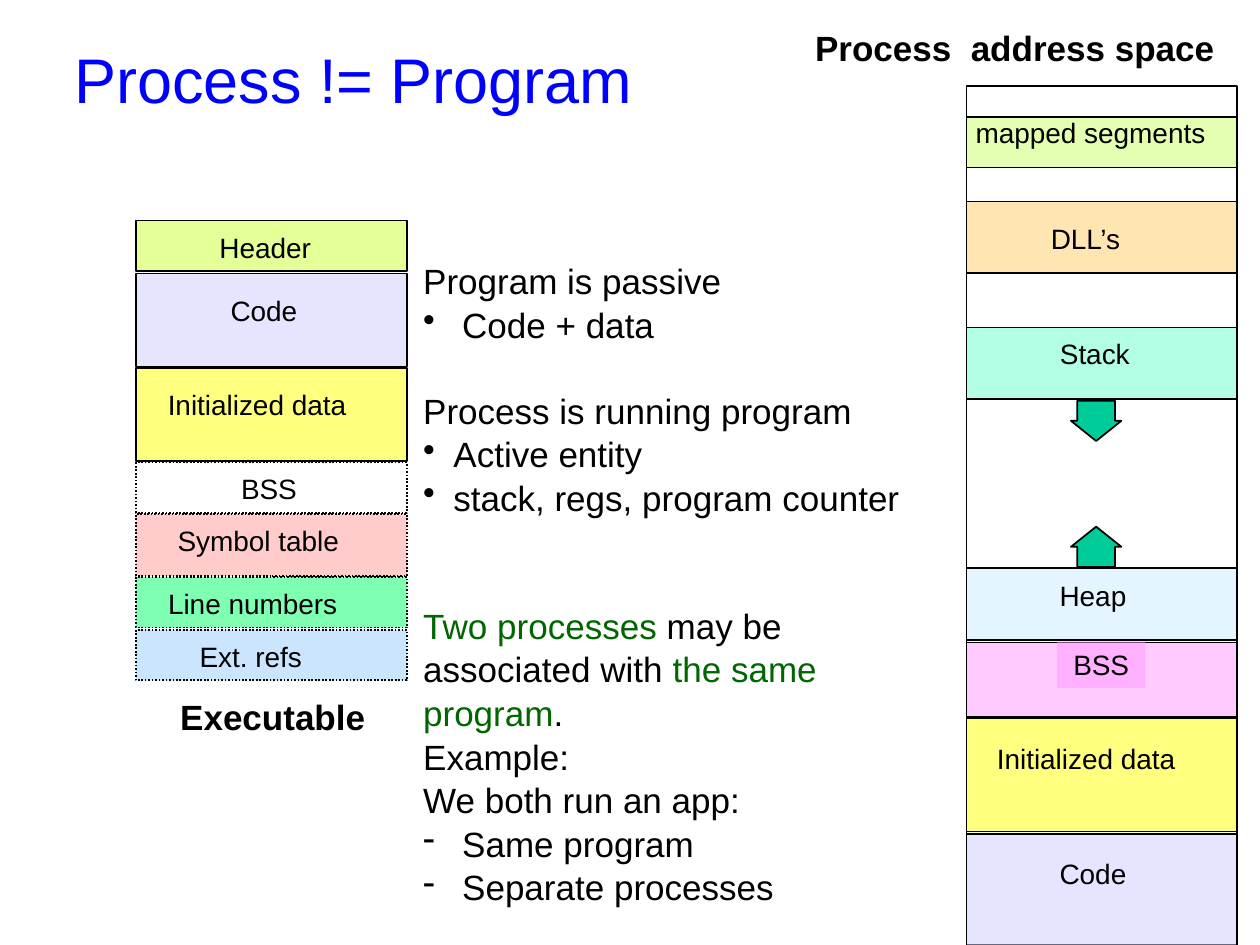
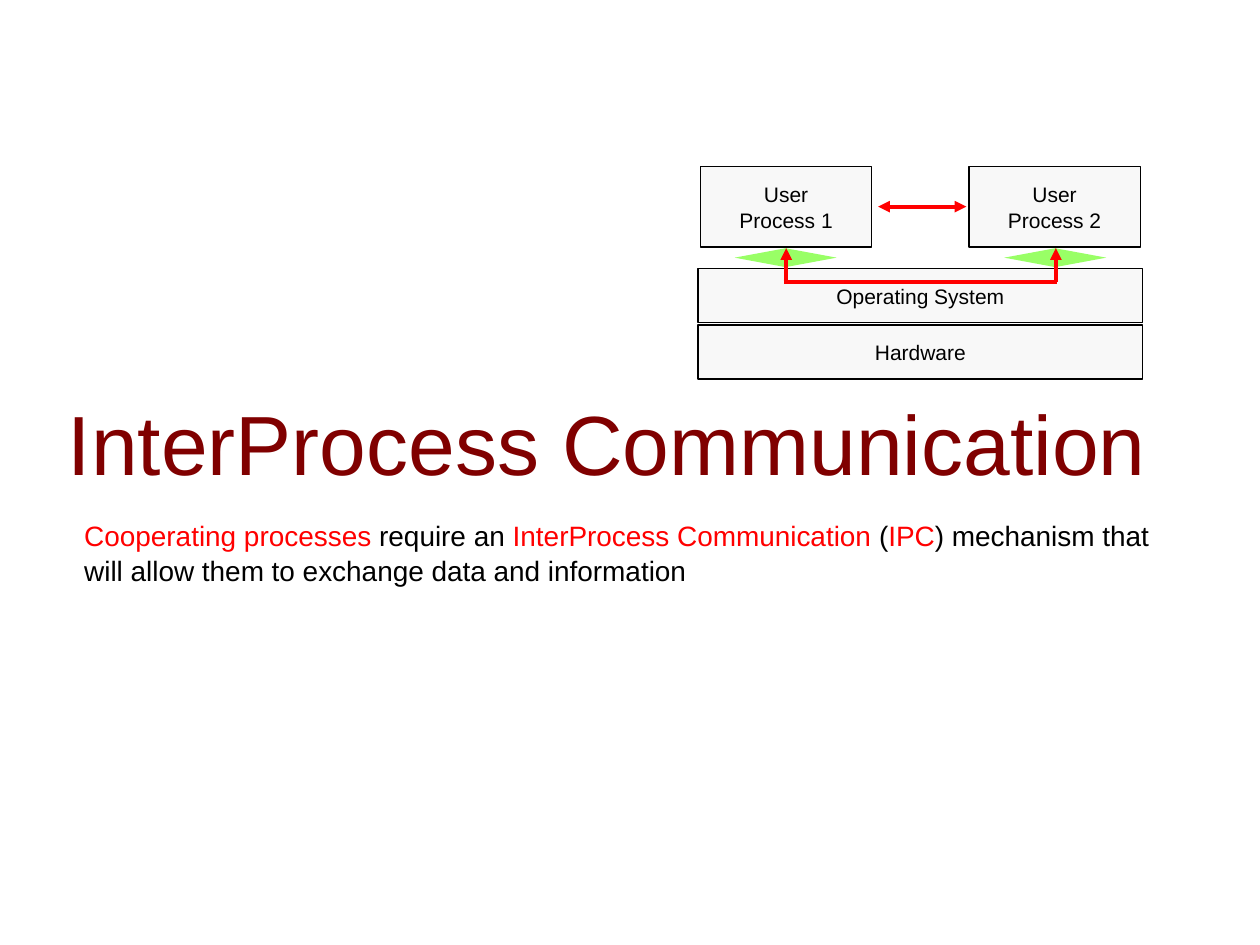
from lxml import etree
from pptx import Presentation
from pptx import util as u
from pptx.dml.color import RGBColor
from pptx.enum import dml, shapes, text
from pptx.oxml.ns import qn

FONT = "Arial"
COLORS = {
    "black": "000000", "blue": "0000FF", "maroon": "800000", "red": "FF0000",
    "dark green": "006600", "lime": "CCFF33", "lavender": "CCCCFF",
    "yellow": "FFFF00", "salmon": "FF9999", "green": "00FF66", "sky": "99CCFF",
    "pink": "FF99FF", "ice": "CCECFF", "mint": "66FFCC", "orange": "FFCC66",
    "pale lime": "CCFF66", "teal": "00CC99", "gray": "F8F8F8",
    "light green": "99FF66",
}
KIND = shapes.MSO_SHAPE
LEFT, CENTER = text.PP_ALIGN.LEFT, text.PP_ALIGN.CENTER
TOP, MIDDLE = text.MSO_ANCHOR.TOP, text.MSO_ANCHOR.MIDDLE


def add_box(s, at, fill=None, line=1, kind=KIND.RECTANGLE, clear=False, dotted=False):
    """Add a preset shape; clear makes the fill half transparent, line is in points."""
    sp = s.shapes.add_shape(kind, *map(u.Inches, at))
    sp.shadow.inherit = False
    if fill:
        sp.fill.solid()
        sp.fill.fore_color.rgb = RGBColor.from_string(COLORS[fill])
        if clear:
            color = sp.fill._xPr.find(qn("a:solidFill"))[0]
            etree.SubElement(color, qn("a:alpha"), val="50000")
    else:
        sp.fill.background()
    if line:
        sp.line.color.rgb = RGBColor.from_string(COLORS["black"])
        sp.line.width = u.Pt(line)
        if dotted:
            sp.line.dash_style = dml.MSO_LINE.ROUND_DOT
    else:
        sp.line.fill.background()
    return sp


def write(sp, paragraphs, size, color="black", align=CENTER, anchor=TOP,
          bold=False, wrap=False, spacing=1.0):
    """Fill a shape; a paragraph is a string or a list of (text, color) runs."""
    tf = sp.text_frame
    tf.word_wrap = wrap
    tf.vertical_anchor = anchor
    for i, content in enumerate(paragraphs):
        p = tf.paragraphs[0] if i == 0 else tf.add_paragraph()
        p.alignment = align
        p.line_spacing = spacing
        p.font.name, p.font.size, p.font.bold = FONT, u.Pt(size), bold
        runs = [(content, color)] if isinstance(content, str) else content
        for words, run_color in runs:
            r = p.add_run()
            r.text = words
            r.font.color.rgb = RGBColor.from_string(COLORS[run_color])
    return tf


prs = Presentation()
prs.slide_width, prs.slide_height = u.Inches(10), u.Inches(7.5)
blank = prs.slide_layouts[6]
slides = []
titles = [
    ("Process != Program", (0.49, 0, 7.83, 1.25), 36, "blue"),
    ("InterProcess Communication", (0.44, 2.95, 9.29, 1.12), 48, "maroon"),
]
for title, at, size, color in titles:
    s = prs.slides.add_slide(blank)
    sp = s.shapes.add_textbox(*map(u.Inches, at))
    write(sp, [title], size, color, LEFT, MIDDLE, wrap=True)
    slides.append(s)

# Slide 1: executable file beside the process address space
s = slides[0]
EXECUTABLE_X, PROCESS_X, COLUMN_W, LABEL_H = 1.08, 7.67, 2.15, 0.37

add_box(s, (PROCESS_X, 0.68, COLUMN_W, 6.82))

# label, column, top, height, fill, dotted, label left, label top, label width
segments = [
    ("Header", EXECUTABLE_X, 1.75, 0.4, "lime", False, 1.64, 1.78, 0.93),
    ("Code", EXECUTABLE_X, 2.17, 0.74, "lavender", False, 1.73, 2.28, 0.73),
    ("Initialized data", EXECUTABLE_X, 2.92, 0.74, "yellow", False, 1.23, 3.03, 1.62),
    ("BSS", EXECUTABLE_X, 3.67, 0.4, None, True, 1.81, 3.69, 0.65),
    ("Symbol table", EXECUTABLE_X, 4.08, 0.49, "salmon", True, 1.31, 4.11, 1.48),
    ("Line numbers", EXECUTABLE_X, 4.58, 0.4, "green", True, 1.23, 4.61, 1.55),
    ("Ext. refs", EXECUTABLE_X, 5, 0.4, "sky", True, 1.48, 5.03, 1.02),
    ("Code", PROCESS_X, 6.62, 0.89, "lavender", False, 8.31, 6.75, 0.73),
    ("Initialized data", PROCESS_X, 5.7, 0.9, "yellow", False, 7.81, 5.84, 1.62),
    ("BSS", PROCESS_X, 5.1, 0.59, "pink", False, 8.39, 5.09, 0.7),
    ("Heap", PROCESS_X, 4.51, 0.57, "ice", False, 8.31, 4.54, 0.73),
    ("Stack", PROCESS_X, 2.6, 0.57, "mint", False, 8.31, 2.62, 0.76),
    ("DLL’s", PROCESS_X, 1.6, 0.57, "orange", False, 8.23, 1.71, 0.77),
    ("mapped segments", PROCESS_X, 0.93, 0.4, "pale lime", False, 7.64, 0.87, 2.03),
]
for label, x, top, height, fill, dotted, label_x, label_y, label_w in segments:
    add_box(s, (x, top, COLUMN_W, height), fill, clear=True, dotted=dotted)
    label_at = (label_x, label_y, label_w, LABEL_H)
    if fill == "pink":
        sp = add_box(s, label_at, fill, line=None, clear=True)
    else:
        sp = s.shapes.add_textbox(*map(u.Inches, label_at))
    write(sp, [label], 16)

for kind, top in [(KIND.UP_ARROW, 4.18), (KIND.DOWN_ARROW, 3.18)]:
    sp = add_box(s, (8.5, top, 0.4, 0.32), "teal", kind=kind)
    sp.adjustments[0], sp.adjustments[1] = 0.75, 0.5

captions = [
    ("Executable", (1.33, 5.47, 1.67, 0.44), CENTER),
    ("Process  address space", (6.37, 0.16, 3.49, 0.44), LEFT),
]
for caption, at, align in captions:
    sp = s.shapes.add_textbox(*map(u.Inches, at))
    write(sp, [caption], 20, align=align, bold=True, wrap=align == LEFT)

# content, bullet, indent in inches, space before in points
notes = [
    ("Program is passive", None, 0, 0),
    ("Code + data", "•", 0.31, 0),
    ("Process is running program", None, 0, 24),
    ("Active entity", "•", 0.24, 0),
    ("stack, regs, program counter", "•", 0.24, 0),
    ([("Two processes", "dark green"), (" may be", "black")], None, 0, 48),
    ([("associated with ", "black"), ("the same program", "dark green"),
      (".", "black")], None, 0, 0),
    ("Example:", None, 0, 0),
    ("We both run an app:", None, 0, 0),
    ("Same program", "-", 0.31, 0),
    ("Separate processes", "-", 0.31, 0),
]
sp = s.shapes.add_textbox(*map(u.Inches, (3.26, 2, 4.51, 4.77)))
tf = write(sp, [note[0] for note in notes], 20, align=LEFT, spacing=1.04)
for p, (_, bullet, indent, before) in zip(tf.paragraphs, notes):
    p.space_before = u.Pt(before)
    if bullet:
        pPr = p._p.get_or_add_pPr()
        pPr.set("marL", str(u.Inches(indent)))
        pPr.set("indent", str(-u.Inches(indent)))
        bu = etree.Element(qn("a:buChar"), char=bullet)
        pPr.find(qn("a:defRPr")).addprevious(bu)

# Slide 2: two processes communicating through the operating system
s = slides[1]
sp = s.shapes.add_textbox(*map(u.Inches, (0.57, 4.05, 8.81, 0.9)))
write(sp, [[
    ("Cooperating processes", "red"), (" require an ", "black"),
    ("InterProcess Communication ", "red"), ("(", "black"), ("IPC", "red"),
    (") mechanism that will allow them to exchange data and information", "black"),
]], 16, align=LEFT, wrap=True, spacing=1.05)

for x in (5.83, 7.97):
    sp = add_box(s, (x, 1.97, 0.81, 0.15), "light green", None, KIND.UP_DOWN_ARROW)
    sp.adjustments[0], sp.adjustments[1] = 0.5, 0.2

blocks = [
    (["Hardware"], (5.54, 2.58, 3.53, 0.43)),
    (["Operating System"], (5.54, 2.13, 3.53, 0.43)),
    (["User", "Process 1"], (5.56, 1.32, 1.36, 0.64)),
    (["User", "Process 2"], (7.69, 1.32, 1.36, 0.64)),
]
for lines, at in blocks:
    sp = add_box(s, at, "gray", 0.75)
    write(sp, lines, 12, anchor=MIDDLE, spacing=1.04)

channels = [
    ((6.97, 1.64, 7.67, 1.64), ("headEnd", "tailEnd")),
    ((6.24, 2.24, 6.24, 1.97), ("tailEnd",)),
    ((6.22, 2.24, 8.39, 2.24), ()),
    ((8.38, 2.24, 8.38, 1.97), ("tailEnd",)),
]
for ends, arrowheads in channels:
    c = s.shapes.add_connector(shapes.MSO_CONNECTOR.STRAIGHT, *map(u.Inches, ends))
    c.line.color.rgb = RGBColor.from_string(COLORS["red"])
    c.line.width = u.Pt(2.25)
    for arrowhead in arrowheads:
        etree.SubElement(c.line._get_or_add_ln(), qn("a:" + arrowhead), type="triangle")
    etree.SubElement(c._element.spPr, qn("a:effectLst"))

prs.save("out.pptx")
